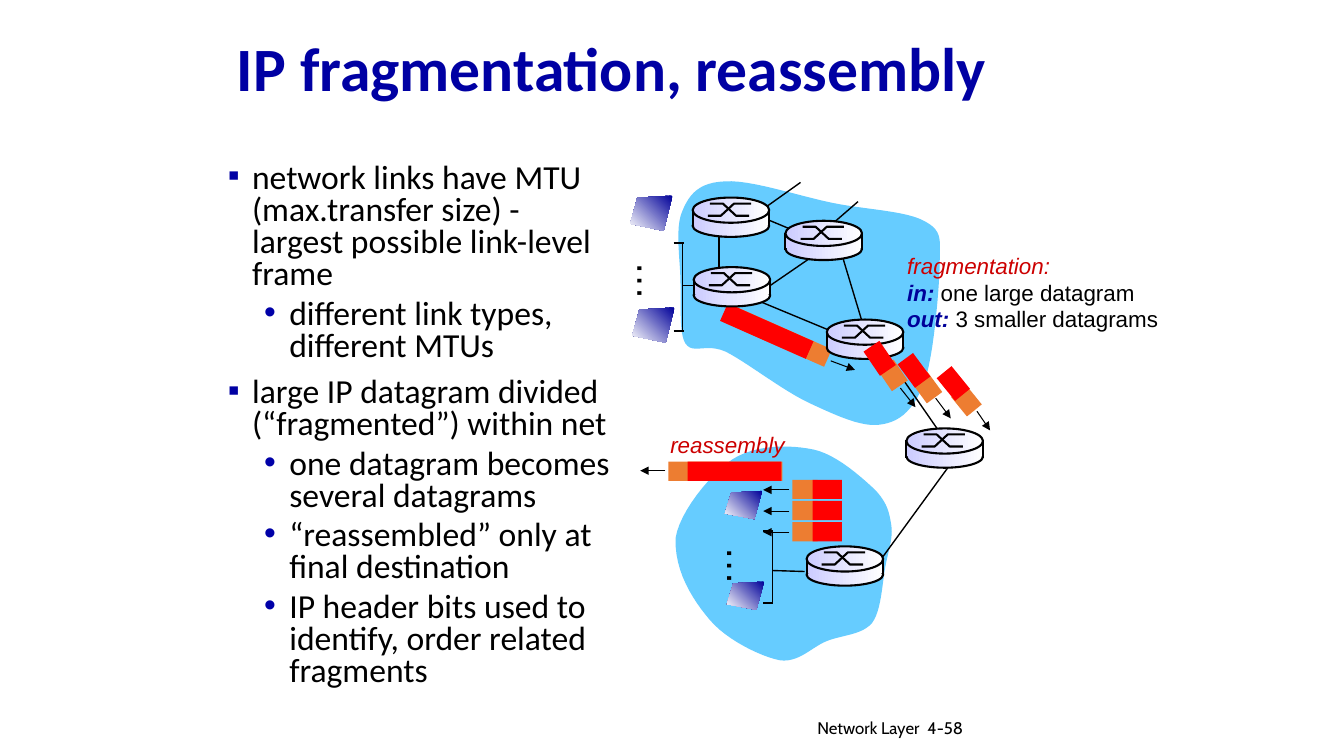
from lxml import etree
from pptx import Presentation
from pptx.dml.color import RGBColor
from pptx.enum.shapes import MSO_CONNECTOR, MSO_SHAPE
from pptx.enum.text import MSO_ANCHOR, MSO_AUTO_SIZE, PP_ALIGN
from pptx.oxml.ns import qn
from pptx.util import Inches, Pt

LINE = MSO_CONNECTOR.STRAIGHT
RECT, OVAL = MSO_SHAPE.RECTANGLE, MSO_SHAPE.OVAL
LEFT, RIGHT = PP_ALIGN.LEFT, PP_ALIGN.RIGHT
COLORS = {"title": "0000A3", "bullet": "0000A3", "subbullet": "0000A8", "text": "000000",
          "cloud": "66CCFF", "header": "ED7D31", "payload": "FF0000", "label": "CC0000",
          "key": "000099", "host": "000099", "router": "CCCCFF", "white": "FFFFFF"}


def rgb(name):
    return RGBColor.from_string(COLORS[name])


def style_font(font, size, name, color="text", bold=False, italic=False):
    font.size, font.name, font.color.rgb = Pt(size), name, rgb(color)
    font.bold, font.italic = bold, italic


def paint(shape, fill=None, gradient=None, angle=0, line=None):
    shape.shadow.inherit = False
    if gradient:
        shape.fill.gradient()
        shape.fill.gradient_angle = angle
        for stop, color in zip(shape.fill.gradient_stops, (gradient, "white")):
            stop.color.rgb = rgb(color)
    elif fill:
        shape.fill.solid()
        shape.fill.fore_color.rgb = rgb(fill)
    else:
        shape.fill.background()
    if line:
        shape.line.color.rgb, shape.line.width = rgb("text"), Pt(line)
    else:
        shape.line.fill.background()


def add_line(s, x1, y1, x2, y2, width=1, arrow=False):
    c = s.shapes.add_connector(LINE, Inches(x1), Inches(y1), Inches(x2), Inches(y2))
    c.line.color.rgb, c.line.width = rgb("text"), Pt(width)
    if arrow:
        etree.SubElement(c.line._get_or_add_ln(), qn("a:tailEnd"), type="triangle")
    etree.SubElement(c._element.spPr, qn("a:effectLst"))


def add_outline(s, points, close=True, **look):
    pts = [(Inches(x), Inches(y)) for x, y in points]
    builder = s.shapes.build_freeform(*pts[0])
    builder.add_line_segments(pts[1:], close=close)
    paint(builder.convert_to_shape(), **look)


def add_block(s, kind, x, y, w, h, rotation=0, **look):
    sp = s.shapes.add_shape(kind, Inches(x), Inches(y), Inches(w), Inches(h))
    sp.rotation = rotation
    paint(sp, **look)


def add_label(s, x, y, w, h, paragraphs, size, name="Arial", align=LEFT, rotation=0):
    """Each paragraph is a list of (text, color, bold, italic) runs."""
    sp = s.shapes.add_textbox(Inches(x), Inches(y), Inches(w), Inches(h))
    sp.rotation = rotation
    tf = sp.text_frame
    tf.word_wrap = False
    for i, runs in enumerate(paragraphs):
        p = tf.add_paragraph() if i else tf.paragraphs[0]
        p.alignment = align
        for text, *look in runs:
            r = p.add_run()
            r.text = text
            style_font(r.font, size, name, *look)


def place(ph, x, y, w, h):
    ph.left, ph.top, ph.width, ph.height = (Inches(v) for v in (x, y, w, h))
    tf = ph.text_frame
    tf.word_wrap, tf.auto_size = True, MSO_AUTO_SIZE.NONE
    return tf


def add_title(s, x, y, w, h, text):
    tf = place(s.shapes.title, x, y, w, h)
    tf.vertical_anchor = MSO_ANCHOR.MIDDLE
    tf.text = text
    p = tf.paragraphs[0]
    p.alignment, p.line_spacing = LEFT, 0.9
    style_font(p.runs[0].font, 44, "Calibri", "title", bold=True)


def add_bullets(s, x, y, w, h, items):
    tf = place(s.placeholders[1], x, y, w, h)
    tf.vertical_anchor = MSO_ANCHOR.TOP
    styles = [(0.39, -0.24, 10, "▪", "bullet"), (0.76, -0.25, 5, "•", "subbullet")]
    for i, (level, text) in enumerate(items):
        margin, indent, before, char, color = styles[level]
        p = tf.add_paragraph() if i else tf.paragraphs[0]
        p.text, p.level, p.alignment = text, level, LEFT
        p.line_spacing, p.space_before = 0.8, Pt(before if i else 0)
        pPr = p._p.get_or_add_pPr()
        pPr.set("marL", str(Inches(margin)))
        pPr.set("indent", str(Inches(indent)))
        bu_color = etree.SubElement(pPr, qn("a:buClr"))
        etree.SubElement(bu_color, qn("a:srgbClr"), val=COLORS[color])
        etree.SubElement(pPr, qn("a:buFont"), typeface="Arial")
        etree.SubElement(pPr, qn("a:buChar"), char=char)
        style_font(p.runs[0].font, 24, "Calibri")


def add_cloud(s, start, curves, steps=12):
    """Trace cubic curves, each given as two control points and an end."""
    points = [start]
    for x1, y1, x2, y2, x3, y3 in curves:
        x0, y0 = points[-1]
        for i in range(1, steps + 1):
            t = i / steps
            a, b, c, d = (1 - t) ** 3, 3 * t * (1 - t) ** 2, 3 * t * t * (1 - t), t ** 3
            points.append((a * x0 + b * x1 + c * x2 + d * x3, a * y0 + b * y1 + c * y2 + d * y3))
    add_outline(s, points, fill="cloud")


def add_router(s, x, y, w=0.76):
    add_block(s, OVAL, x, y + 0.17, w, 0.22, gradient="router", line=1.5)
    add_block(s, RECT, x, y + 0.14, w, 0.13, gradient="router")
    add_block(s, OVAL, x, y, w, 0.25, gradient="router", line=1.5)
    low, high = y + 0.18, y + 0.06
    for left, start, end, xs in ((x + 0.15, low, high, (0, 0.13, 0.26, 0.43)),
                                 (x + 0.17, high, low, (0, 0.13, 0.26, 0.39))):
        ys = (start, start, end, end)
        add_outline(s, [(left + dx, py) for dx, py in zip(xs, ys)], close=False, line=1.5)
    for side in (x, x + w):
        add_line(s, side, y + 0.12, side, y + 0.29, 1.5)


def add_hosts(s, x, y, w, h, drop):
    """Two hosts, the dots between them and the bracket at their right."""
    spine, top = x + w + 0.1, y + h + 0.12
    bottom = top + 0.79 * drop
    for tick in (top, bottom):
        add_line(s, spine - 0.09, tick, spine + 0.01, tick, 1.5)
    add_line(s, spine, top, spine, bottom)
    for left, upper in ((x, y), (x + 0.02, y + drop)):
        corners = ((1, 0), (0.17, 0.06), (0, 0.8), (0.79, 1))
        add_outline(s, [(left + w * u, upper + h * v) for u, v in corners],
                    gradient="host", angle=225)
    add_label(s, spine - 0.59, y + drop / 2 + 0.01, 0.59, 0.57, [[("…", "text")]], 28, rotation=90)


def add_network(s):
    # Clouds
    add_cloud(s, (7.19, 1.8), [
        (6.94, 1.81, 6.84, 1.92, 6.77, 2.09), (6.69, 2.26, 6.75, 2.59, 6.75, 2.81),
        (6.76, 3.03, 6.73, 3.3, 6.8, 3.41), (6.88, 3.52, 7, 3.4, 7.2, 3.49),
        (7.4, 3.59, 7.77, 3.88, 8.03, 4), (8.29, 4.12, 8.56, 4.25, 8.75, 4.21),
        (8.94, 4.18, 9.07, 4.05, 9.17, 3.79), (9.26, 3.53, 9.31, 2.92, 9.32, 2.66),
        (9.32, 2.39, 9.36, 2.3, 9.18, 2.2), (9, 2.09, 8.57, 2.08, 8.24, 2.01),
        (7.91, 1.94, 7.43, 1.78, 7.19, 1.8)])
    add_cloud(s, (6.7, 5.34), [
        (6.74, 5.08, 7.04, 4.71, 7.26, 4.56), (7.49, 4.41, 7.83, 4.41, 8.07, 4.46),
        (8.3, 4.51, 8.55, 4.74, 8.68, 4.86), (8.8, 4.99, 8.82, 5.08, 8.84, 5.21),
        (8.86, 5.34, 8.81, 5.46, 8.78, 5.63), (8.75, 5.79, 8.74, 6.06, 8.65, 6.18),
        (8.55, 6.3, 8.35, 6.3, 8.2, 6.36), (8.05, 6.42, 7.92, 6.58, 7.73, 6.55),
        (7.54, 6.51, 7.21, 6.35, 7.04, 6.15), (6.87, 5.95, 6.69, 5.67, 6.7, 5.34)])
    # Links
    for ends in ((6.77, 2.83, 6.91, 2.83), (7.4, 2.09, 8.12, 2.39), (8.33, 2.46, 8.55, 3.19),
                 (7.13, 2.21, 7.13, 2.85), (7.39, 2.93, 8.45, 3.37), (9.3, 4.26, 8.78, 3.51),
                 (8.24, 2.42, 7.41, 2.99), (7.94, 1.81, 7.42, 2.18), (8.51, 2, 8.21, 2.26),
                 (9.43, 4.6, 8.73, 5.56), (7.66, 5.66, 7.98, 5.67)):
        add_line(s, *ends)


def add_datagrams_in(s):
    # Large datagram entering the router
    add_block(s, RECT, 7.14, 3.23, 1.12, 0.19, 23.9, fill="header")
    add_block(s, RECT, 7.14, 3.19, 0.93, 0.19, 23.9, fill="payload")
    add_line(s, 8.24, 3.58, 8.48, 3.67, 0.75, arrow=True)


def add_reassembly(s, x, y):
    # Fragments arriving, then the rebuilt datagram
    for i in range(3):
        top = y + 0.53 + 0.21 * i
        add_block(s, RECT, x + 1.31, top, 0.25, 0.19, fill="header")
        add_block(s, RECT, x + 1.51, top, 0.29, 0.19, fill="payload")
        add_line(s, x + 1.28, top + 0.1, x + 1.02, top + 0.1, 0.75, arrow=True)
    add_block(s, RECT, x + 0.08, y + 0.35, 1.13, 0.19, fill="header")
    add_block(s, RECT, x + 0.27, y + 0.35, 0.93, 0.19, fill="payload")
    add_line(s, x + 0.05, y + 0.44, x - 0.2, y + 0.44, 0.75, arrow=True)
    add_label(s, x, y, 1.34, 0.37, [[("reassembly", "label", False, True)]], 16)


def add_fragments_out(s):
    for x, y, angle, arrow in ((8.58, 3.46, 55.8, (8.93, 3.85, 9.08, 4.04)),
                               (8.92, 3.58, 53.6, (9.28, 3.95, 9.43, 4.15)),
                               (9.31, 3.71, 50.9, (9.69, 4.08, 9.82, 4.27))):
        add_block(s, RECT, x + 0.15, y + 0.17, 0.25, 0.19, angle, fill="header")
        add_block(s, RECT, x, y, 0.29, 0.19, angle, fill="payload")
        add_line(s, *arrow, 0.75, arrow=True)


def main():
    prs = Presentation()
    prs.slide_width, prs.slide_height = Inches(13.33), Inches(7.5)
    s = prs.slides.add_slide(prs.slide_layouts[1])
    add_title(s, 2.25, 0.2, 8.5, 1.02, "IP fragmentation, reassembly")
    add_bullets(s, 2.01, 1.57, 4.17, 5.57, [
        (0, "network links have MTU (max.transfer size) - largest possible link-level frame"),
        (1, "different link types, different MTUs"),
        (0, "large IP datagram divided (“fragmented”) within net"),
        (1, "one datagram becomes several datagrams"),
        (1, "“reassembled” only at final destination"),
        (1, "IP header bits used to identify, order related fragments")])
    # Diagram, from back to front
    add_network(s)
    add_datagrams_in(s)
    add_label(s, 8.9, 2.45, 2.7, 0.9, [
        [("fragmentation:", "label", False, True)],
        [("in:", "key", True, True), (" one large datagram", "text")],
        [("out:", "key", True, True), (" 3 smaller datagrams", "text")]], 16)
    add_reassembly(s, 6.55, 4.23)
    add_hosts(s, 6.25, 1.94, 0.42, 0.35, 1.11)
    for x, y in ((8.2, 3.17), (6.87, 1.96), (6.88, 2.65), (7.79, 2.19), (8.99, 4.25), (8, 5.42)):
        add_router(s, x, y)
    add_fragments_out(s)
    add_hosts(s, 7.19, 4.87, 0.37, 0.28, 0.9)
    # Footer
    add_label(s, 6.05, 7.07, 3.17, 0.31, [[("Network Layer", "text")]], 12, "Cabin", RIGHT)
    add_label(s, 9.1, 7.07, 0.74, 0.3, [[("4-58", "text")]], 12, "Cabin")
    prs.save("out.pptx")


if __name__ == "__main__":
    main()
